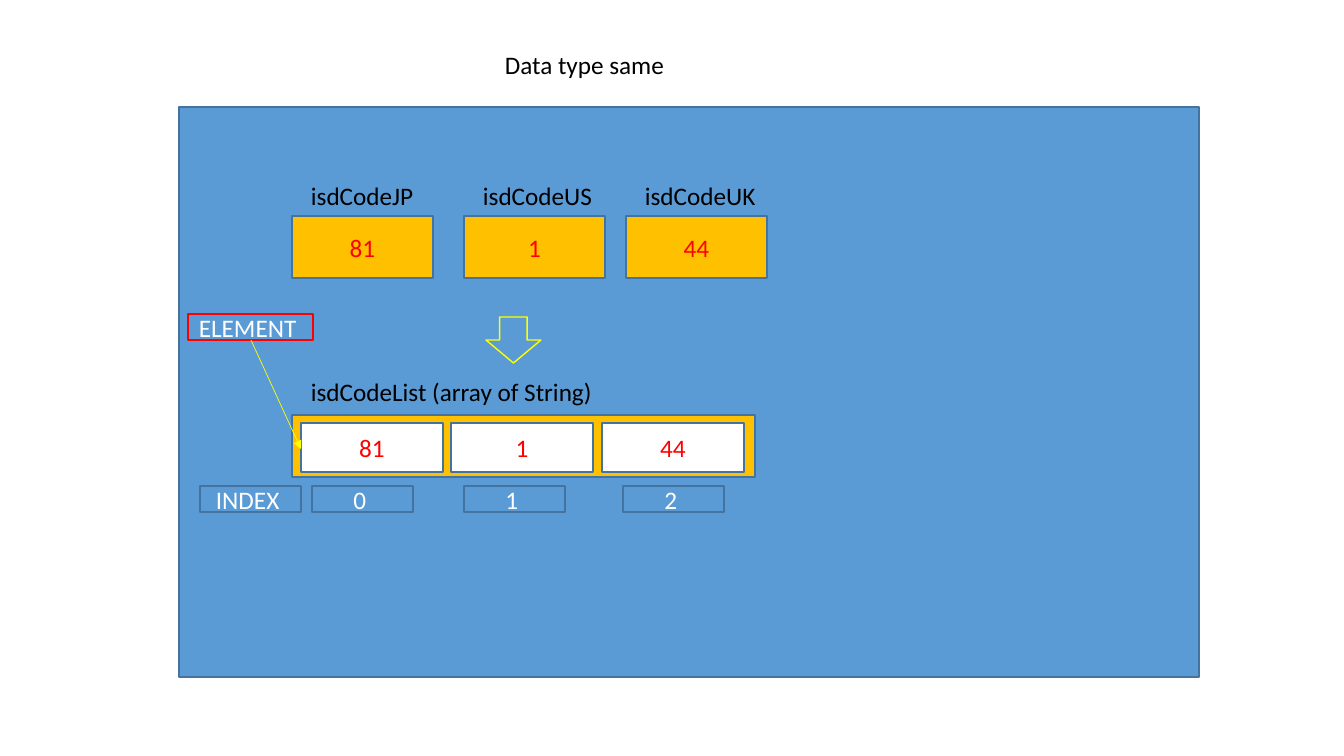
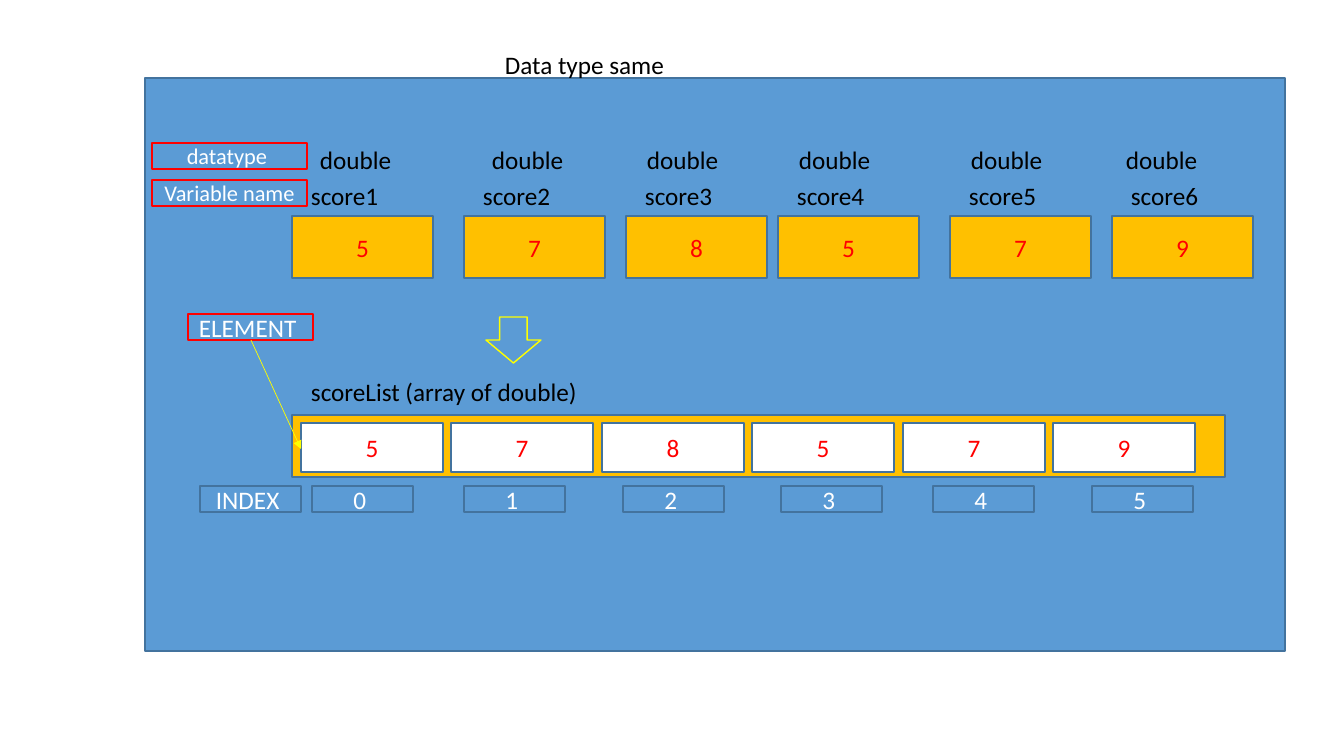
"""Build two slides that turn separate variables into an indexed array."""
import dataclasses

import lxml.etree
import pptx
import pptx.dml.color
import pptx.enum.shapes
import pptx.enum.text
import pptx.oxml.ns
import pptx.shapes.autoshape
import pptx.slide
import pptx.text.text
import pptx.util

EMU_PER_PIXEL = 914400 / 100.8
FONT = "Calibri"
COLORS = {
    "blue": "5B9BD5",
    "edge": "43739E",
    "gold": "FFC000",
    "yellow": "FFFF00",
    "red": "FF0000",
    "white": "FFFFFF",
    "black": "000000",
}
RECTANGLE = pptx.enum.shapes.MSO_SHAPE.RECTANGLE
DOWN_ARROW = pptx.enum.shapes.MSO_SHAPE.DOWN_ARROW

VARIABLE_LEFTS = [left + shift for shift in (0, 486) for left in (292, 464, 626)]
TYPE_LEFTS = [left + shift for shift in (0, 479) for left in (310, 482, 637)]
INDEX_LEFTS = [left + shift for shift in (0, 469) for left in (312, 464, 623)]
ELEMENT_LEFTS = [301 + round(150.4 * index) for index in range(6)]


@dataclasses.dataclass(frozen=True)
class Area:
    """A rectangle in pixels."""
    left: int
    top: int
    width: int
    height: int


@dataclasses.dataclass(frozen=True)
class Look:
    """The fill, outline and text style of a shape."""
    fill: str
    line: str = "edge"
    ink: str = "white"
    size: int = 18


@dataclasses.dataclass(frozen=True)
class Variable:
    """A variable with its value and the width of its name box."""
    name: str
    value: str
    name_width: int = 89


@dataclasses.dataclass(frozen=True)
class ArrayLesson:
    """The content of one slide."""
    panel: Area
    variables: list[Variable]
    caption: str
    caption_width: int
    array_width: int
    datatype: str = ""


PLAIN = Look("blue")
VARIABLE = Look("gold", ink="red")
ELEMENT = Look("white", ink="red")
POINTER = Look("blue", line="yellow")
TERM = Look("blue", line="red")
SMALL_TERM = Look("blue", line="red", size=16)

LESSONS = [
    ArrayLesson(
        panel=Area(179, 107, 1020, 570),
        variables=[
            Variable("isdCodeJP", "81", 124),
            Variable("isdCodeUS", "1", 131),
            Variable("isdCodeUK", "44", 132),
        ],
        caption="isdCodeList (array of String)",
        caption_width=304,
        array_width=463,
    ),
    ArrayLesson(
        panel=Area(145, 78, 1140, 573),
        variables=[
            Variable(f"score{number}", value)
            for number, value in enumerate("578579", start=1)
        ],
        caption="scoreList (array of double)",
        caption_width=291,
        array_width=933,
        datatype="double",
    ),
]


def px(length: float) -> pptx.util.Emu:
    """Turn pixels into EMU."""
    return pptx.util.Emu(round(length * EMU_PER_PIXEL))


def bounds(area: Area) -> list[pptx.util.Emu]:
    """Give the four lengths of an area in EMU."""
    return [px(length) for length in dataclasses.astuple(area)]


def rgb(name: str) -> pptx.dml.color.RGBColor:
    """Look up a colour by name."""
    return pptx.dml.color.RGBColor.from_string(COLORS[name])


def write(frame: pptx.text.text.TextFrame, text: str, size: int, ink: str) -> None:
    """Set the text of a frame and format its runs."""
    frame.text = text
    for run in frame.paragraphs[0].runs:
        run.font.name = FONT
        run.font.size = pptx.util.Pt(size)
        run.font.color.rgb = rgb(ink)


def draw_box(
    slide: pptx.slide.Slide,
    area: Area,
    look: Look,
    text: str = "",
    outline: pptx.enum.shapes.MSO_SHAPE = RECTANGLE,
) -> pptx.shapes.autoshape.Shape:
    """Draw a filled shape with optional centred text."""
    box = slide.shapes.add_shape(outline, *bounds(area))
    box.shadow.inherit = False
    box.fill.solid()
    box.fill.fore_color.rgb = rgb(look.fill)
    box.line.color.rgb = rgb(look.line)
    box.line.width = pptx.util.Pt(1)
    if text:
        frame = box.text_frame
        write(frame, text, look.size, look.ink)
        frame.word_wrap = True
        frame.vertical_anchor = pptx.enum.text.MSO_ANCHOR.MIDDLE
        frame.paragraphs[0].alignment = pptx.enum.text.PP_ALIGN.CENTER
    return box


def draw_label(
    slide: pptx.slide.Slide, left: int, top: int, width: int, text: str
) -> None:
    """Draw a line of black text that does not wrap."""
    label = slide.shapes.add_textbox(*bounds(Area(left, top, width, 40)))
    write(label.text_frame, text, 18, "black")
    label.text_frame.word_wrap = False
    label.text_frame.auto_size = pptx.enum.text.MSO_AUTO_SIZE.SHAPE_TO_FIT_TEXT


def draw_element_arrow(slide: pptx.slide.Slide) -> None:
    """Draw the arrow from the element term to the first element."""
    arrow = slide.shapes.add_connector(
        pptx.enum.shapes.MSO_CONNECTOR.STRAIGHT, px(251), px(340), px(301), px(449)
    )
    arrow.line.color.rgb = rgb("yellow")
    arrow.line.width = pptx.util.Pt(0.5)
    qn = pptx.oxml.ns.qn
    line = arrow.line._get_or_add_ln()
    lxml.etree.SubElement(line, qn("a:tailEnd"), type="triangle")
    lxml.etree.SubElement(arrow._element.spPr, qn("a:effectLst"))


def draw_variables(slide: pptx.slide.Slide, lesson: ArrayLesson) -> None:
    """Draw the separate variables with their names and types."""
    for variable, left, type_left in zip(lesson.variables, VARIABLE_LEFTS, TYPE_LEFTS):
        draw_box(slide, Area(left, 216, 141, 62), VARIABLE, variable.value)
        draw_label(slide, left + 9, 175, variable.name_width, variable.name)
        if lesson.datatype:
            draw_label(slide, type_left, 139, 93, lesson.datatype)
    if lesson.datatype:
        draw_box(slide, Area(152, 143, 155, 26), SMALL_TERM, "datatype ")
        draw_box(slide, Area(152, 180, 155, 26), SMALL_TERM, "Variable name ")


def draw_array(slide: pptx.slide.Slide, lesson: ArrayLesson) -> None:
    """Draw the array with its elements and indexes."""
    draw_label(slide, 301, 371, lesson.caption_width, lesson.caption)
    draw_box(slide, Area(292, 415, lesson.array_width, 62), VARIABLE)
    draw_box(slide, Area(200, 486, 101, 26), PLAIN, "INDEX ")
    cells = zip(lesson.variables, ELEMENT_LEFTS, INDEX_LEFTS)
    for index, (variable, element_left, index_left) in enumerate(cells):
        draw_box(slide, Area(element_left, 423, 142, 49), ELEMENT, variable.value)
        draw_box(slide, Area(index_left, 486, 101, 26), PLAIN, f"{index} ")


def draw_lesson(slide: pptx.slide.Slide, lesson: ArrayLesson) -> None:
    """Draw a whole slide."""
    draw_box(slide, lesson.panel, PLAIN)
    draw_label(slide, 495, 44, 187, "Data type same ")
    draw_variables(slide, lesson)
    draw_box(slide, Area(486, 317, 55, 46), POINTER, outline=DOWN_ARROW)
    draw_array(slide, lesson)
    draw_box(slide, Area(188, 314, 125, 26), TERM, "ELEMENT ")
    draw_element_arrow(slide)


def main() -> None:
    """Build and save the presentation."""
    presentation = pptx.Presentation()
    presentation.slide_width = px(1344)
    presentation.slide_height = px(756)
    for lesson in LESSONS:
        draw_lesson(presentation.slides.add_slide(presentation.slide_layouts[6]), lesson)
    presentation.save("out.pptx")


main()
